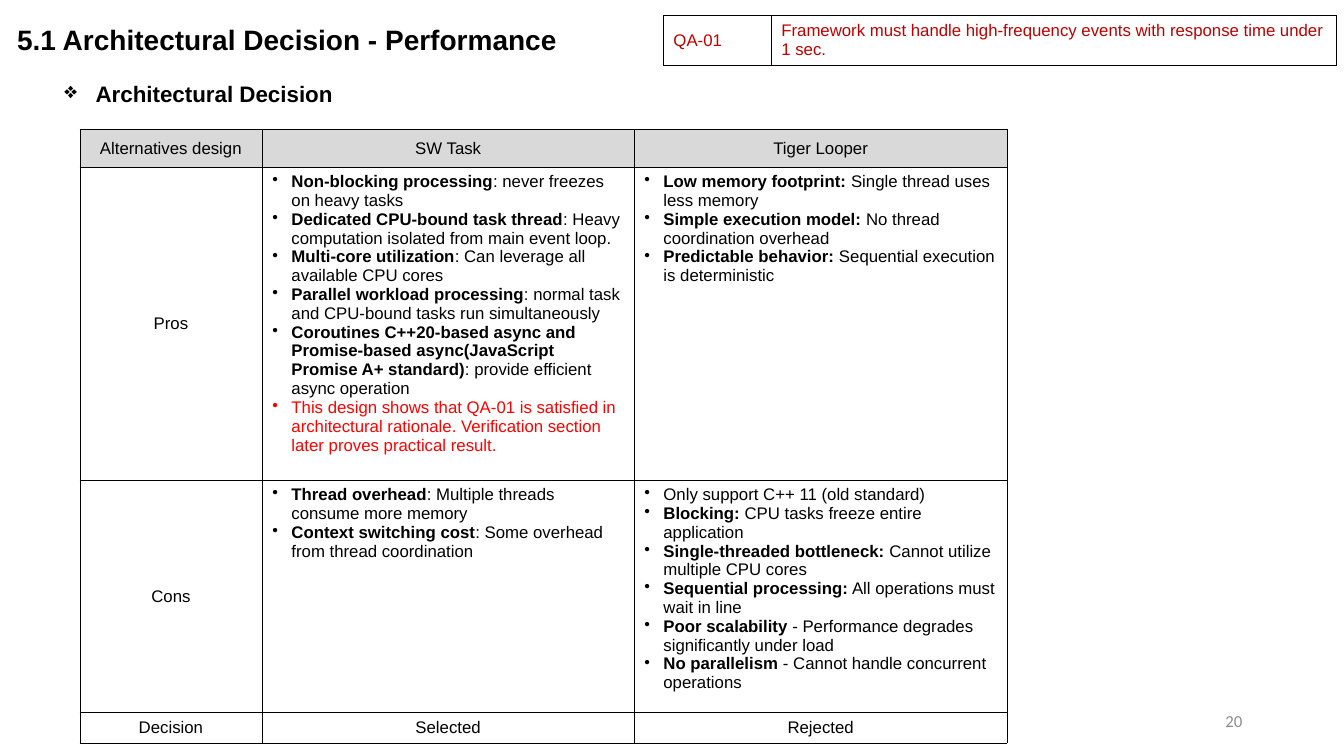
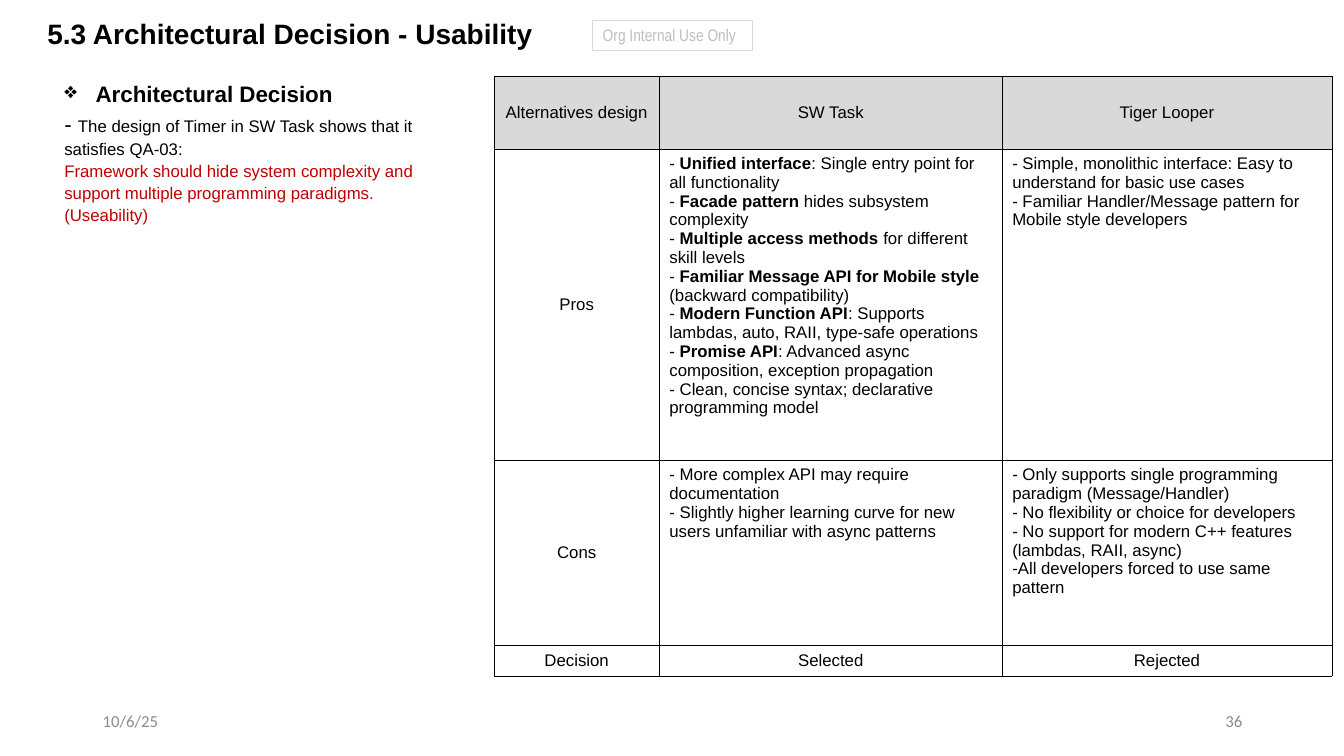
from dataclasses import dataclass
from typing import Optional

from lxml import etree
from pptx import Presentation
from pptx import util as u
from pptx.dml.color import RGBColor
from pptx.enum import shapes, text
from pptx.oxml import ns

WIDTH, HEIGHT = u.Inches(13.33), u.Inches(7.5)
BLACK = RGBColor(0x00, 0x00, 0x00)
WHITE = RGBColor(0xFF, 0xFF, 0xFF)
HEADER_GREY = RGBColor(0xD9, 0xD9, 0xD9)
FOOTER_GREY = RGBColor(0x8C, 0x8C, 0x8C)
LABEL_GREY = RGBColor(0xBF, 0xBF, 0xBF)
DEEP_RED = RGBColor(0xC0, 0x00, 0x00)
RED = RGBColor(0xFF, 0x00, 0x00)

BODY = {"name": "Arial", "size": u.Pt(12), "bold": False}
TITLE = BODY | {"size": u.Pt(20), "bold": True}
HEADING = BODY | {"size": u.Pt(16), "bold": True}
LEAD = BODY | {"size": u.Pt(16)}
FOOTER = BODY | {"name": "Calibri"}
LABEL = BODY | {"name": "Arial Narrow"}

LEFT, CENTER, RIGHT = text.PP_ALIGN.LEFT, text.PP_ALIGN.CENTER, text.PP_ALIGN.RIGHT
TOP, MIDDLE = text.MSO_ANCHOR.TOP, text.MSO_ANCHOR.MIDDLE


@dataclass
class Area:
    """Percent of the slide's width (left, width) and height (top, height)."""
    left: float
    top: float
    width: float
    height: float

    def lengths(self) -> tuple:
        return across(self.left), down(self.top), across(self.width), down(self.height)


@dataclass
class Span:
    words: str
    style: dict
    colour: RGBColor = BLACK


@dataclass
class Para:
    spans: list
    bullet: str = ""
    indent: float = 0
    align: text.PP_ALIGN = LEFT
    spacing: Optional[float] = None


@dataclass
class Cell:
    paras: list
    anchor: text.MSO_ANCHOR = TOP
    fill: Optional[RGBColor] = None


@dataclass
class Comparison:
    area: Area
    columns: list
    rows: list
    pros: list
    cons: list


def across(percent: float) -> int:
    return round(WIDTH * percent / 100)


def down(percent: float) -> int:
    return round(HEIGHT * percent / 100)


# Text
def marked(words: str, bullet: str = "", colour: RGBColor = BLACK) -> Para:
    """Words between double asterisks become bold."""
    spans = [Span(part, BODY | {"bold": index % 2 == 1}, colour)
             for index, part in enumerate(words.split("**")) if part]
    return Para(spans, bullet, 0.19 if bullet else 0)


def bullets(*lines: str) -> list:
    return [marked(line, "•") for line in lines]


def plain(*lines: str) -> list:
    return [marked(line) for line in lines]


def add_span(para, span: Span) -> None:
    for index, line in enumerate(span.words.split("\n")):
        if index:
            para.add_line_break()
        if line:
            run = para.add_run()
            run.text = line
            for name, value in span.style.items():
                setattr(run.font, name, value)
            run.font.color.rgb = span.colour


def write(frame, paras: list) -> None:
    for index, content in enumerate(paras):
        para = frame.add_paragraph() if index else frame.paragraphs[0]
        if content.bullet:
            props = para._p.get_or_add_pPr()
            props.set("marL", str(u.Inches(content.indent)))
            props.set("indent", str(-u.Inches(content.indent)))
            etree.SubElement(props, ns.qn("a:buChar")).set("char", content.bullet)
        para.alignment = content.align
        if content.spacing:
            para.line_spacing = content.spacing
        for span in content.spans:
            add_span(para, span)


def add_text(page, area: Area, paras: list, anchor=TOP, wrap: bool = True) -> None:
    frame = page.shapes.add_textbox(*area.lengths()).text_frame
    frame.word_wrap, frame.vertical_anchor = wrap, anchor
    write(frame, paras)


# Tables
def add_borders(cell) -> None:
    props = cell._tc.get_or_add_tcPr()
    for index, side in enumerate(("lnL", "lnR", "lnT", "lnB")):
        line = etree.Element(ns.qn(f"a:{side}"), w=str(u.Pt(0.25)))
        fill = etree.SubElement(line, ns.qn("a:solidFill"))
        etree.SubElement(fill, ns.qn("a:srgbClr")).set("val", str(BLACK))
        props.insert(index, line)


def add_grid(page, area: Area, columns: list, rows: list, cells: list) -> None:
    table = page.shapes.add_table(len(rows), len(columns), *area.lengths()).table
    table.first_row = table.horz_banding = False
    for column, width in zip(table.columns, columns):
        column.width = across(width)
    for row, height, contents in zip(table.rows, rows, cells):
        row.height = down(height)
        for cell, content in zip(row.cells, contents):
            if content.fill is None:
                cell.fill.background()
            else:
                cell.fill.solid()
                cell.fill.fore_color.rgb = content.fill
            cell.vertical_anchor = content.anchor
            write(cell.text_frame, content.paras)
            add_borders(cell)


def centred(words: str, fill: Optional[RGBColor] = None) -> Cell:
    return Cell([Para([Span(words, BODY)], align=CENTER)], MIDDLE, fill)


def add_comparison(page, data: Comparison) -> None:
    header = ("Alternatives design", "SW Task", "Tiger Looper")
    cells = [
        [centred(words, HEADER_GREY) for words in header],
        [centred("Pros"), *map(Cell, data.pros)],
        [centred("Cons"), *map(Cell, data.cons)],
        [centred(words) for words in ("Decision", "Selected", "Rejected")],
    ]
    add_grid(page, data.area, data.columns, data.rows, cells)


# Parts shared by the slides
def add_page(deck, title: str, left: float, top: float, number: str):
    page = deck.slides.add_slide(deck.slide_layouts[6])
    add_footer(page, 70.67, number, RIGHT)
    add_text(page, Area(left, top, 42.84, 5.87), [Para([Span(title, TITLE)])])
    return page


def add_footer(page, left: float, words: str, align: text.PP_ALIGN) -> None:
    para = Para([Span(words, FOOTER, FOOTER_GREY)], align=align)
    add_text(page, Area(left, 92.67, 22.5, 5.33), [para], MIDDLE)


def heading() -> Para:
    return Para([Span("Architectural Decision", HEADING)], "❖", 0.31, spacing=1.1)


def performance(deck) -> None:
    page = add_page(deck, "5.1 Architectural Decision - Performance", 0.53, 2.27, "20")
    add_text(page, Area(4.05, 9.6, 21.76, 12.13), [heading()], wrap=False)
    add_comparison(page, Comparison(
        Area(5.93, 17.07, 69.02, 81.2), [13.58, 27.68, 27.76], [5.07, 41.4, 30.67, 4.1],
        pros=[
            bullets(
                "**Non-blocking processing**: never freezes on heavy tasks",
                "**Dedicated CPU-bound task thread**: Heavy computation isolated from main event loop.",
                "**Multi-core utilization**: Can leverage all available CPU cores",
                "**Parallel workload processing**: normal task and CPU-bound tasks run simultaneously",
                "**Coroutines C++20-based async and Promise-based async(JavaScript Promise A+ "
                "standard)**: provide efficient async operation",
            ) + [marked("This design shows that QA-01 is satisfied in architectural rationale. "
                        "Verification section later proves practical result.", "•", RED)],
            bullets(
                "**Low memory footprint: **Single thread uses less memory",
                "**Simple execution model: **No thread coordination overhead",
                "**Predictable behavior: **Sequential execution is deterministic",
            ),
        ],
        cons=[
            bullets(
                "**Thread overhead**: Multiple threads consume more memory",
                "**Context switching cost**: Some overhead from thread coordination",
            ),
            bullets(
                "Only support C++ 11 (old standard)",
                "**Blocking: **CPU tasks freeze entire \napplication",
                "**Single-threaded bottleneck: **Cannot utilize multiple CPU cores",
                "**Sequential processing:** All operations must wait in line",
                "**Poor scalability **- Performance degrades \nsignificantly under load",
                "**No parallelism** - Cannot handle concurrent \noperations",
            ),
        ],
    ))
    # Quality requirement
    requirement = ("QA-01", "Framework must handle high-frequency events with response time "
                            "under 1 sec.")
    cells = [Cell([marked(words, colour=DEEP_RED)], MIDDLE, WHITE) for words in requirement]
    add_grid(page, Area(49.36, 2, 50.04, 6.67), [8.03, 42.01], [6.67], [cells])


def usability(deck) -> None:
    page = add_page(deck, "5.3 Architectural Decision - Usability", 2.78, 1.47, "36")
    add_footer(page, 6.9, "10/6/25", LEFT)
    add_text(page, Area(4.05, 9.6, 31.81, 28.27), [
        heading(),
        Para([
            Span("- ", LEAD),
            Span("The design of Timer in SW Task shows that it satisfies QA-03:\n", BODY),
            Span("Framework should hide system complexity and support multiple programming "
                 "paradigms.", BODY, DEEP_RED),
        ], spacing=1.1),
        Para([Span("(Useability)", BODY, DEEP_RED)], spacing=1.1),
    ])
    add_comparison(page, Comparison(
        Area(36.76, 10.13, 62.34, 79.33), [12.3, 25.51, 24.53], [9.6, 41.2, 24.4, 4.13],
        pros=[
            plain(
                "- **Unified interface**: Single entry point for all functionality",
                "- **Facade pattern **hides subsystem complexity",
                "- **Multiple access methods **for different skill levels",
                "- **Familiar Message API for Mobile style **(backward compatibility)",
                "- **Modern Function API**: Supports lambdas, auto, RAII, type-safe operations",
                "- **Promise API**: Advanced async composition, exception propagation",
                "- Clean, concise syntax; declarative programming model",
            ),
            plain(
                "- Simple, monolithic interface: Easy to understand for basic use cases",
                "- Familiar Handler/Message pattern for Mobile style developers",
            ),
        ],
        cons=[
            plain(
                "- More complex API may require documentation",
                "- Slightly higher learning curve for new users unfamiliar with async patterns",
            ),
            plain(
                "- Only supports single programming paradigm (Message/Handler)",
                "- No flexibility or choice for developers",
                "- No support for modern C++ features (lambdas, RAII, async)",
                "-All developers forced to use same pattern",
            ),
        ],
    ))
    # Confidentiality label
    box = page.shapes.add_shape(shapes.MSO_SHAPE.RECTANGLE,
                                *Area(44.11, 2.67, 11.85, 4).lengths())
    box.shadow.inherit = False
    box.fill.background()
    box.line.color.rgb, box.line.width = HEADER_GREY, u.Pt(0.75)
    box.text_frame.word_wrap = False
    box.text_frame.vertical_anchor = TOP
    write(box.text_frame, [Para([Span("Org Internal Use Only", LABEL, LABEL_GREY)])])


def main() -> None:
    deck = Presentation()
    deck.slide_width, deck.slide_height = WIDTH, HEIGHT
    performance(deck)
    usability(deck)
    deck.save("out.pptx")


if __name__ == "__main__":
    main()
